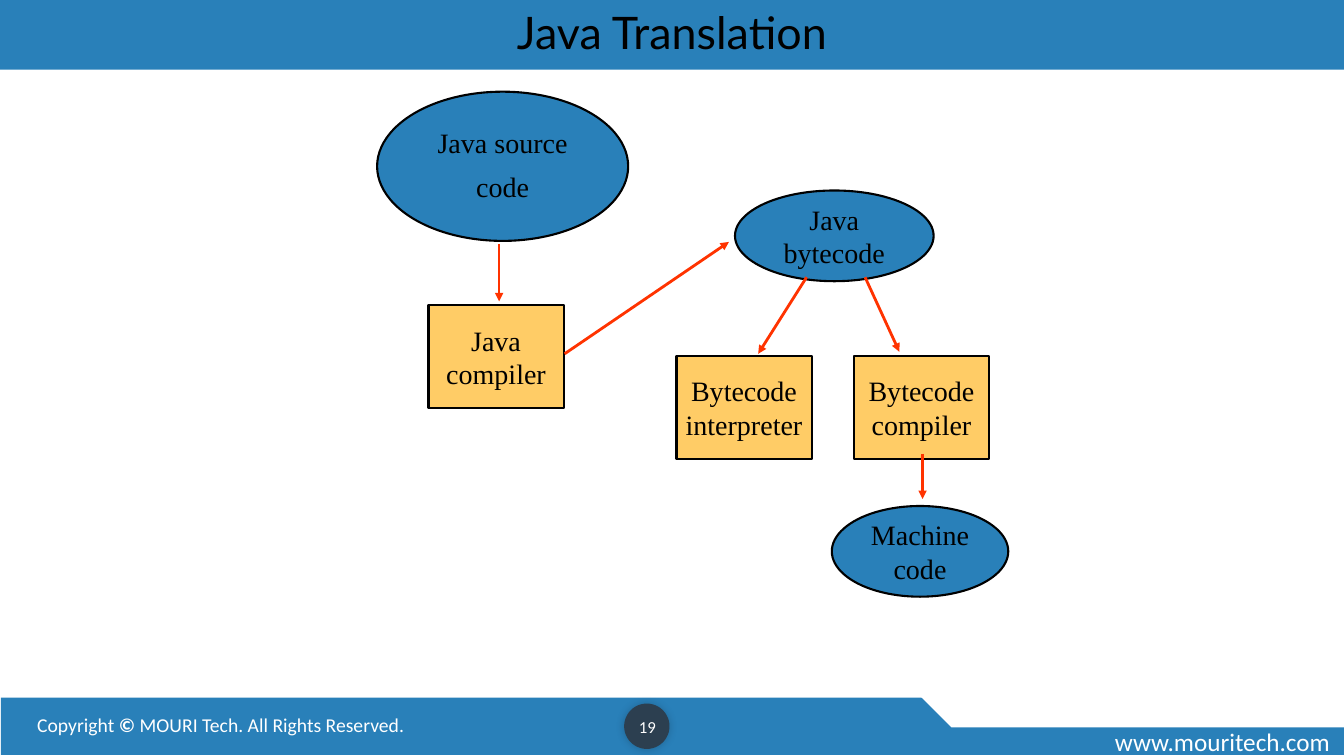
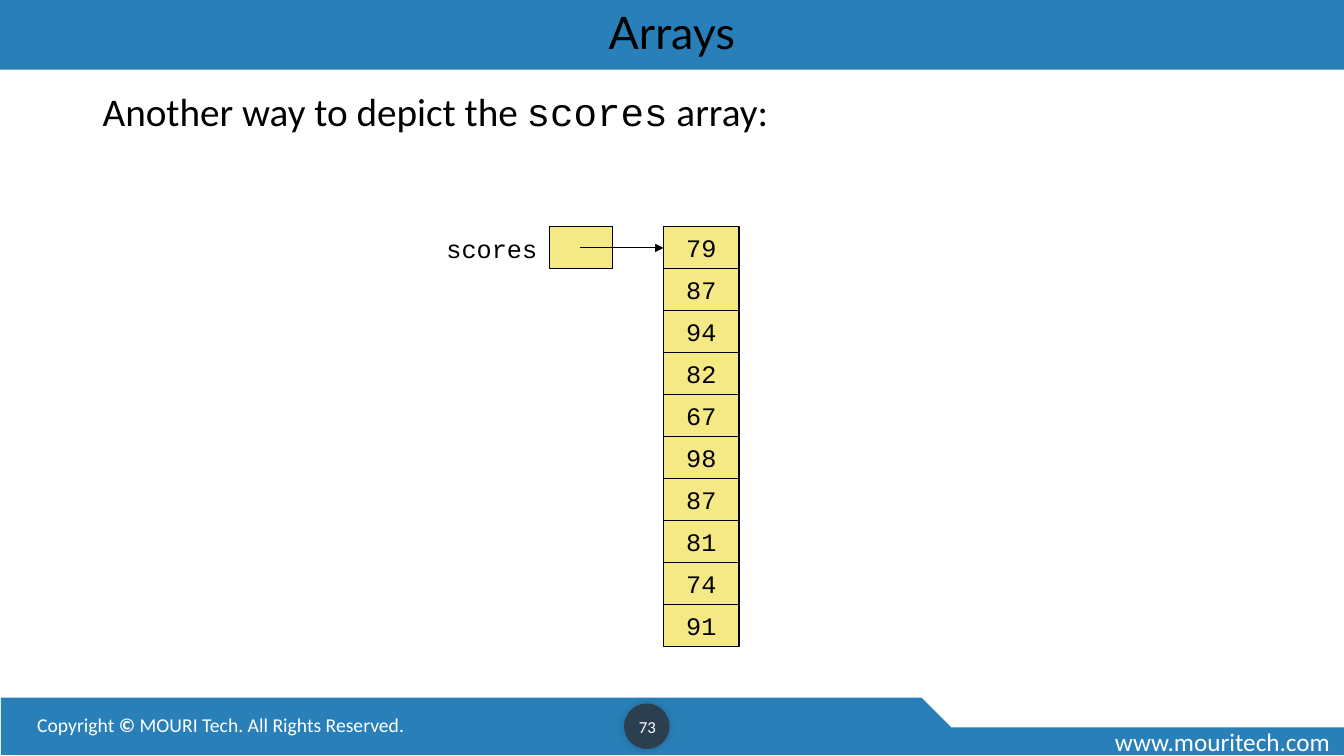
from lxml import etree
from pptx import Presentation
from pptx.dml.color import RGBColor
from pptx.enum.shapes import MSO_CONNECTOR, MSO_SHAPE as SHAPE
from pptx.enum.text import MSO_ANCHOR as ANCHOR, MSO_AUTO_SIZE, PP_ALIGN as ALIGN
from pptx.oxml.ns import qn
from pptx.util import Inches, Pt

COLORS = {
    "band": "2980B9", "badge": "2C3F50", "white": "FFFFFF", "black": "000000",
    "process": "FFCC66", "arrow": "FF3300", "cell": "F5E985",
}
TITLE_FONT, BODY_FONT = "Lato", "Calibri"
DIAGRAM_FONT, CODE_FONT = "Times New Roman", "Courier New"
TITLE_ONLY = 5


def rgb(name):
    return RGBColor.from_string(COLORS[name])


def box(*lengths):
    return [Inches(n) for n in lengths]


class Deck:
    """Holds the shared style and the slide being built."""

    def __init__(self):
        self.prs = Presentation()
        self.prs.slide_width, self.prs.slide_height = box(13.33, 7.5)
        self.s = None

    def slide(self, title, number):
        layout = self.prs.slide_layouts[TITLE_ONLY]
        self.s = self.prs.slides.add_slide(layout)
        self.title(title)
        self.footer(number)

    def title(self, text):
        sp = self.s.shapes.title
        sp.left, sp.top, sp.width, sp.height = box(0, 0, 13.33, 0.69)
        sp.fill.solid()
        sp.fill.fore_color.rgb = rgb("band")
        self.fill_text(sp, [text], 32, TITLE_FONT, align=ALIGN.CENTER,
                       anchor=ANCHOR.MIDDLE, spacing=0.9)

    def footer(self, number):
        self.shape(SHAPE.RECTANGLE, (0.01, 6.92, 13.32, 0.57), "band")
        notch = self.shape(SHAPE.SNIP_2_DIAG_RECTANGLE,
                           (8.92, 6.17, 4.41, 1.04), "white", "white", 1)
        notch.adjustments[0], notch.adjustments[1] = 0, 0.5
        self.text((10.96, 7.16, 2.38, 0.4), ["www.mouritech.com"], 18,
                  color="white")
        copyright_line = [("Copyright ", {}), ("© ", {"bold": True}),
                          ("MOURI Tech. All Rights Reserved.", {})]
        self.text((0.27, 7.02, 7.17, 0.34), [copyright_line], 14, color="white")
        badge = self.shape(SHAPE.OVAL, (6.19, 6.98, 0.45, 0.45), "badge")
        self.soft_shadow(badge)
        self.text((6.21, 7.01, 0.42, 0.4), [str(number)], 12, color="white",
                  align=ALIGN.CENTER, anchor=ANCHOR.MIDDLE)

    def soft_shadow(self, sp):
        effects = sp._element.spPr.find(qn("a:effectLst"))
        shadow = etree.SubElement(effects, qn("a:outerShdw"), blurRad=str(Pt(6)),
                                  dist="0", dir="18900000", algn="ctr")
        color = etree.SubElement(shadow, qn("a:srgbClr"), val=COLORS["black"])
        etree.SubElement(color, qn("a:alpha"), val="20000")

    def shape(self, kind, at, fill, line=None, width=0.75):
        sp = self.s.shapes.add_shape(kind, *box(*at))
        sp.shadow.inherit = False
        sp.fill.solid()
        sp.fill.fore_color.rgb = rgb(fill)
        if line:
            sp.line.color.rgb = rgb(line)
            sp.line.width = Pt(width)
        else:
            sp.line.fill.background()
        return sp

    def node(self, kind, at, fill, lines, **style):
        sp = self.shape(kind, at, fill, "black", 1.5)
        self.fill_text(sp, lines, 20, DIAGRAM_FONT, align=ALIGN.CENTER,
                       anchor=ANCHOR.MIDDLE, wrap=False, **style)

    def data(self, at, lines, **style):
        self.node(SHAPE.OVAL, at, "band", lines, **style)

    def process(self, left, top, lines):
        self.node(SHAPE.RECTANGLE, (left, top, 1.34, 1.02), "process", lines)

    def cell(self, at, value=None):
        sp = self.shape(SHAPE.RECTANGLE, at, "cell", "black")
        if value is not None:
            self.fill_text(sp, [str(value)], 18, CODE_FONT, align=ALIGN.CENTER,
                           anchor=ANCHOR.MIDDLE, wrap=False)

    def arrow(self, start, end, color, width):
        cn = self.s.shapes.add_connector(MSO_CONNECTOR.STRAIGHT,
                                         *box(*start, *end))
        cn.line.color.rgb = rgb(color)
        cn.line.width = Pt(width)
        sp_pr = cn._element.spPr
        etree.SubElement(sp_pr.find(qn("a:ln")), qn("a:tailEnd"),
                         type="triangle")
        etree.SubElement(sp_pr, qn("a:effectLst"))

    def text(self, at, paragraphs, size, font=BODY_FONT, **style):
        sp = self.s.shapes.add_textbox(*box(*at))
        self.fill_text(sp, paragraphs, size, font, **style)

    def fill_text(self, sp, paragraphs, size, font, color="black",
                  align=ALIGN.LEFT, anchor=ANCHOR.TOP, wrap=True, spacing=None,
                  before=0):
        """Each paragraph is a string or a list of (text, font settings)."""
        tf = sp.text_frame
        tf.auto_size = MSO_AUTO_SIZE.NONE
        tf.word_wrap = wrap
        tf.vertical_anchor = anchor
        for i, runs in enumerate(paragraphs):
            p = tf.add_paragraph() if i else tf.paragraphs[0]
            p.alignment = align
            p.space_before = Pt(before if i else 0)
            if spacing:
                p.line_spacing = spacing
            p.font.size, p.font.name = Pt(size), font
            p.font.color.rgb = rgb(color)
            for text, settings in [(runs, {})] if isinstance(runs, str) else runs:
                r = p.add_run()
                r.text = text
                r.font.bold = settings.get("bold")
                r.font.name = settings.get("name")


def java_translation(deck):
    deck.slide("Java Translation", 19)

    # Data and the programs that process it
    deck.data((3.74, 0.91, 2.49, 1.48), ["Java source", "code"],
              spacing=0.9, before=10)
    deck.process(4.25, 3.03, ["Java", "compiler"])
    deck.process(6.71, 3.53, ["Bytecode", "interpreter"])
    deck.process(8.47, 3.53, ["Bytecode", "compiler"])
    deck.data((8.25, 5.02, 1.75, 0.9), ["Machine", "code"])
    deck.data((7.29, 1.89, 1.97, 0.9), ["Java", "bytecode"])

    # Flow
    for start, end in [
        ((4.95, 2.42), (4.95, 2.99)),
        ((5.6, 3.51), (7.23, 2.4)),
        ((8, 2.75), (7.52, 3.51)),
        ((8.58, 2.75), (8.92, 3.49)),
        ((9.15, 4.5), (9.15, 4.95)),
    ]:
        deck.arrow(start, end, "arrow", 2)


def arrays(deck):
    deck.slide("Arrays", 73)
    intro = [("Another way to depict the ", {}), ("scores", {"name": CODE_FONT}),
             (" array:", {})]
    deck.text((0.92, 0.87, 11.5, 5.88), [intro], 28, spacing=0.9)

    # Reference variable
    top, height = 2.25, 5 / 12
    deck.cell((5.45, top, 0.63, height))
    deck.text((4.33, 2.27, 1.1, 0.4), ["scores"], 18, CODE_FONT, wrap=False)
    deck.arrow((5.75, 2.46), (6.58, 2.46), "black", 0.75)

    # Array elements
    for i, score in enumerate([79, 87, 94, 82, 67, 98, 87, 81, 74, 91]):
        deck.cell((6.58, top + i * height, 0.75, height), score)


def main():
    deck = Deck()
    java_translation(deck)
    arrays(deck)
    deck.prs.save("out.pptx")


if __name__ == "__main__":
    main()
